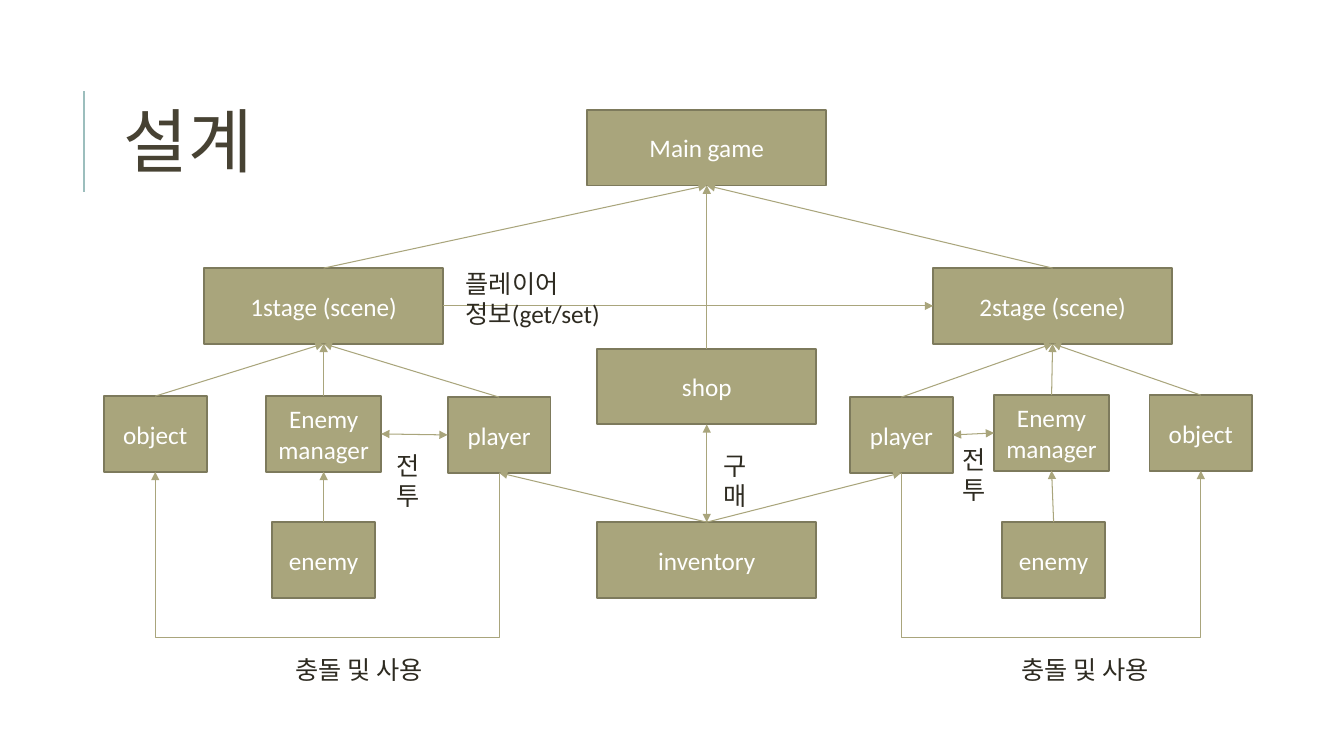
"""Build the game design slide: a scene tree with its links and labels."""
import pptx
import pptx.util
import pptx.dml.color
import pptx.enum.shapes
import pptx.enum.text
import pptx.oxml.ns
import lxml.etree

Inches, Pt = pptx.util.Inches, pptx.util.Pt
RGBColor = pptx.dml.color.RGBColor
Connector = pptx.enum.shapes.MSO_CONNECTOR
Align, Anchor = pptx.enum.text.PP_ALIGN, pptx.enum.text.MSO_ANCHOR

KHAKI = RGBColor(0xA9, 0xA5, 0x7C)
OLIVE = RGBColor(0x7D, 0x7A, 0x5C)
TEAL = RGBColor(0x9C, 0xBE, 0xBD)
TITLE_BROWN = RGBColor(0x47, 0x42, 0x33)
INK = RGBColor(0x2E, 0x2B, 0x21)
WHITE = RGBColor(0xFF, 0xFF, 0xFF)

FONT = "Calibri"
BOX_HEIGHT = 0.75
SCENE, STORE, MANAGER, ITEM = 2.37, 2.17, 1.14, 1.02
LEFT, MIDDLE, RIGHT = 3.21, 7.01, 10.44
TOP_SITE, LEFT_SITE, BOTTOM_SITE, RIGHT_SITE = range(4)

BOXES = {
    "main": ("Main game", MIDDLE, 1.09, SCENE),
    "stage1": ("1stage (scene)", LEFT, 2.66, SCENE),
    "stage2": ("2stage (scene)", RIGHT, 2.66, SCENE),
    "object1": ("object", 1.54, 3.93, ITEM),
    "manager1": ("Enemy\nmanager", LEFT, 3.93, MANAGER),
    "player1": ("player", 4.95, 3.94, ITEM),
    "enemy1": ("enemy", LEFT, 5.18, ITEM),
    "player2": ("player", 8.94, 3.94, ITEM),
    "manager2": ("Enemy\nmanager", 10.43, 3.92, MANAGER),
    "object2": ("object", 11.91, 3.92, ITEM),
    "enemy2": ("enemy", 10.45, 5.18, ITEM),
    "shop": ("shop", MIDDLE, 3.46, STORE),
    "inventory": ("inventory", MIDDLE, 5.18, STORE),
}
CHILD_TO_PARENT = [
    ("stage1", "main"), ("stage2", "main"), ("shop", "main"),
    ("object1", "stage1"), ("manager1", "stage1"), ("player1", "stage1"),
    ("object2", "stage2"), ("manager2", "stage2"), ("player2", "stage2"),
    ("enemy1", "manager1"), ("enemy2", "manager2"),
    ("inventory", "player1"), ("inventory", "player2"),
]
SIDEWAYS = [("stage1", "stage2", False), ("manager1", "player1", True),
            ("player2", "manager2", True)]
COLLISIONS = [("player1", "object1", 6.35), ("player2", "object2", 6.32)]
LABELS = [
    ("플레이어 정보(get/set)", 4.52, 2.61, 2.24),
    ("충돌 및 사용", 2.83, 6.44, 1.59),
    ("충돌 및 사용", 10.03, 6.44, 1.59),
    ("전투", 3.83, 4.42, 0.54),
    ("전투", 9.45, 4.36, 0.54),
    ("구매", 7.08, 4.42, 0.54),
]


def write(shape, text, size=18, color=INK, align=Align.LEFT,
          anchor=Anchor.TOP, line_spacing=None, tracking=None):
    frame = shape.text_frame
    frame.word_wrap = True
    frame.vertical_anchor = anchor
    frame.text = text
    for para in frame.paragraphs:
        para.alignment = align
        para.line_spacing = line_spacing
        for span in para.runs:
            span.font.name, span.font.size = FONT, Pt(size)
            span.font.color.rgb = color
            if tracking:
                span.font._element.set("spc", str(tracking))


def draw_line(kind=Connector.STRAIGHT, points=(0, 0, 0, 0), color=KHAKI,
              width=0.75, ends=()):
    line = page.shapes.add_connector(kind, *map(Inches, points))
    line.line.color.rgb, line.line.width = color, Pt(width)
    outline = line.line._get_or_add_ln()
    for end in ends:
        lxml.etree.SubElement(outline, pptx.oxml.ns.qn(f"a:{end}"), type="triangle")
    lxml.etree.SubElement(line._element.spPr, pptx.oxml.ns.qn("a:effectLst"))
    return line


def link(start, start_site, finish, finish_site, both=False, kind=Connector.STRAIGHT):
    line = draw_line(kind, ends=("headEnd", "tailEnd") if both else ("tailEnd",))
    line.begin_connect(boxes[start], start_site)
    line.end_connect(boxes[finish], finish_site)
    return line


def link_below(start, finish, floor):
    line = link(start, BOTTOM_SITE, finish, BOTTOM_SITE, kind=Connector.ELBOW)
    x1, y1, x2, y2 = line.begin_x, line.begin_y, line.end_x, line.end_y
    rise, span = y1 - y2, abs(x2 - x1)
    line.left, line.top = (x1 + x2 - rise) // 2, (y1 + y2 - span) // 2
    line.width, line.height = rise, span
    frame = line._element.spPr.xfrm
    frame.set("rot", "5400000")
    frame.set("flipH", "1")
    frame.set("flipV", str(int(x2 > x1)))
    guides = line._element.spPr.find(".//" + pptx.oxml.ns.qn("a:avLst"))
    bend = round(-100000 * (Inches(floor) - y1) / rise)
    lxml.etree.SubElement(guides, pptx.oxml.ns.qn("a:gd"), name="adj1", fmla=f"val {bend}")


deck = pptx.Presentation()
deck.slide_width, deck.slide_height = Inches(13.33), Inches(7.5)
page = deck.slides.add_slide(deck.slide_layouts.get_by_name("Title Only"))

draw_line(points=(0.83, 1.9, 0.83, 0.9), color=TEAL, width=1.5)
title = page.shapes.title
title.left, title.top, title.width, title.height = map(Inches, (1.12, 0.64, 10.63, 1.64))
write(title, "설계", size=50, color=TITLE_BROWN, anchor=Anchor.MIDDLE,
      line_spacing=0.8, tracking=100)

boxes = {}
for name, (text, center, top, width) in BOXES.items():
    box = page.shapes.add_shape(
        pptx.enum.shapes.MSO_SHAPE.RECTANGLE,
        *map(Inches, (center - width / 2, top, width, BOX_HEIGHT)))
    box.shadow.inherit = False
    box.fill.solid()
    box.fill.fore_color.rgb = KHAKI
    box.line.color.rgb, box.line.width = OLIVE, Pt(1.25)
    write(box, text, color=WHITE, align=Align.CENTER, anchor=Anchor.MIDDLE)
    boxes[name] = box

for child, parent in CHILD_TO_PARENT:
    link(child, TOP_SITE, parent, BOTTOM_SITE)
for start, finish, both in SIDEWAYS:
    link(start, RIGHT_SITE, finish, LEFT_SITE, both)
link("shop", BOTTOM_SITE, "inventory", TOP_SITE, both=True)
for collision in COLLISIONS:
    link_below(*collision)

for text, left, top, width in LABELS:
    label = page.shapes.add_textbox(*map(Inches, (left, top, width, 0.4)))
    write(label, text)
    label.text_frame.auto_size = pptx.enum.text.MSO_AUTO_SIZE.SHAPE_TO_FIT_TEXT

deck.save("out.pptx")
